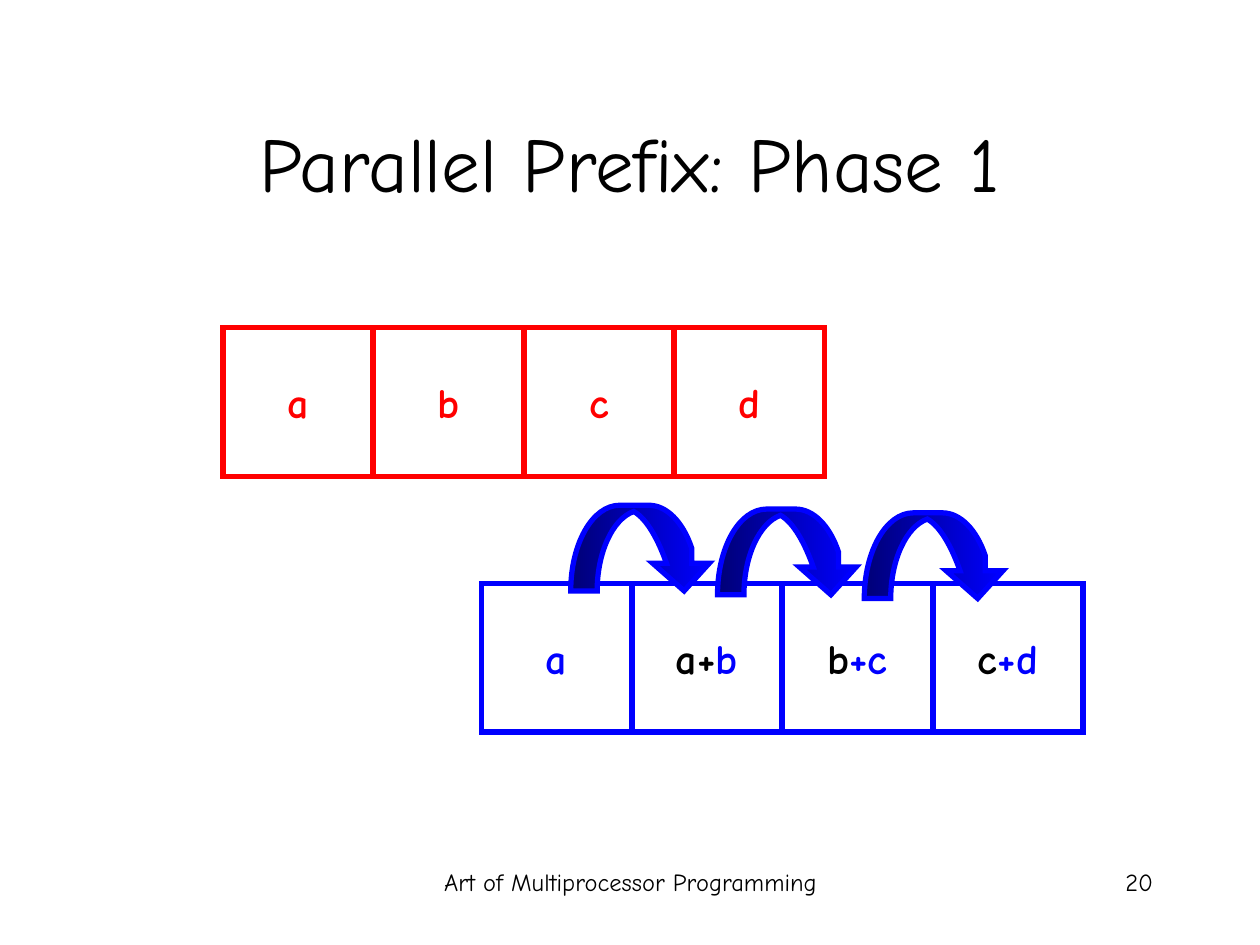
"""Build the slide showing phase 1 of a parallel prefix computation."""
from lxml import etree
from pptx import Presentation, util as u
from pptx.dml.color import RGBColor
from pptx.enum import shapes, text
from pptx.oxml.ns import qn

FONT = "Comic Neue"
BLACK, RED, BLUE, NAVY = "000000", "FF0000", "0000FF", "000076"
CELL_W, CELL_H, PITCH = 1.19, 1.18, 1.195
UNITS_PER_INCH = 100

CAPTIONS = [
    ("Parallel Prefix: Phase 1", 44, (0.75, 0.66, 8.5, 1.25), "CENTER", "MIDDLE"),
    ("Art of Multiprocessor Programming", 14, (3.42, 6.83, 3.17, 0.5), "CENTER", "TOP"),
    ("20", 14, (7.17, 6.83, 2.08, 0.5), "RIGHT", "TOP"),
]
ARRAYS = [
    (RED, 1.77, 2.6, [[(name, RED)] for name in "abcd"]),
    (BLUE, 3.82, 4.63, [
        [("a", BLUE)],
        [("a+", BLACK), ("b", BLUE)],
        [("b", BLACK), ("+c", BLUE)],
        [("c", BLACK), ("+d", BLUE)],
    ]),
]
ARROW_ORIGINS = [(4.53 + 1.165 * i, 4.01 + 0.03 * i) for i in range(3)]
ARROW_START = (0, 68)
ARROW_SEGMENTS = [
    [(0, 31), (17, 0), (39, 0)],
    [(62, 0)],
    [(76, 0), (89, 13), (96, 34)],
    [(96, 46)],
    [(110, 46)],
    [(90, 68)],
    [(65, 46)],
    [(76, 46)],
    [(70, 29), (61, 11), (50, 5)],
    [(33, 11), (21, 38), (21, 68)],
]


def color(hex_code):
    return RGBColor.from_string(hex_code)


def write(frame, runs, size, align="CENTER", anchor="MIDDLE", bold=False, before=0):
    frame.vertical_anchor = text.MSO_ANCHOR[anchor]
    line = frame.paragraphs[0]
    line.alignment = text.PP_ALIGN[align]
    line.space_before = u.Pt(before)
    for words, ink in runs:
        run = line.add_run()
        run.text = words
        run.font.name, run.font.size, run.font.bold = FONT, u.Pt(size), bold
        run.font.color.rgb = color(ink)


def outline(shape, ink):
    shape.shadow.inherit = False
    shape.line.color.rgb = color(ink)
    shape.line.width = u.Pt(3)
    stroke = shape.element.spPr.find(qn("a:ln"))
    etree.SubElement(stroke, qn("a:miter"), lim="800000")


def add_cell(slide, left, top, ink, runs):
    cell = slide.shapes.add_shape(
        shapes.MSO_SHAPE.RECTANGLE, *map(u.Inches, (left, top, CELL_W, CELL_H)))
    cell.fill.background()
    outline(cell, ink)
    cell.text_frame.word_wrap = False
    write(cell.text_frame, runs, 24, bold=True, before=6)


def bend(arrow):
    edges = list(arrow.element.iter(qn("a:lnTo")))
    for edge, points in zip(edges, ARROW_SEGMENTS):
        if len(points) == 3:
            edge.tag = qn("a:cubicBezTo")
            for index, (x, y) in enumerate(points[:-1]):
                edge.insert(index, etree.Element(qn("a:pt"), x=str(x), y=str(y)))


def add_arrow(slide, left, top):
    builder = slide.shapes.build_freeform(
        *ARROW_START, scale=u.Inches(1) / UNITS_PER_INCH)
    builder.add_line_segments([points[-1] for points in ARROW_SEGMENTS], close=True)
    arrow = builder.convert_to_shape(u.Inches(left), u.Inches(top))
    bend(arrow)
    arrow.fill.gradient()
    arrow.fill.gradient_angle = 0
    for stop, ink in zip(arrow.fill.gradient_stops, (NAVY, BLUE)):
        stop.color.rgb = color(ink)
    outline(arrow, BLUE)


def main():
    deck = Presentation()
    deck.slide_width, deck.slide_height = u.Inches(10), u.Inches(7.5)
    slide = deck.slides.add_slide(deck.slide_layouts[6])
    for words, size, place, align, anchor in CAPTIONS:
        caption = slide.shapes.add_textbox(*map(u.Inches, place)).text_frame
        caption.word_wrap = True
        write(caption, [(words, BLACK)], size, align, anchor)
    for ink, left, top, cells in ARRAYS:
        for column, runs in enumerate(cells):
            add_cell(slide, left + column * PITCH, top, ink, runs)
    for origin in ARROW_ORIGINS:
        add_arrow(slide, *origin)
    deck.save("out.pptx")


if __name__ == "__main__":
    main()
